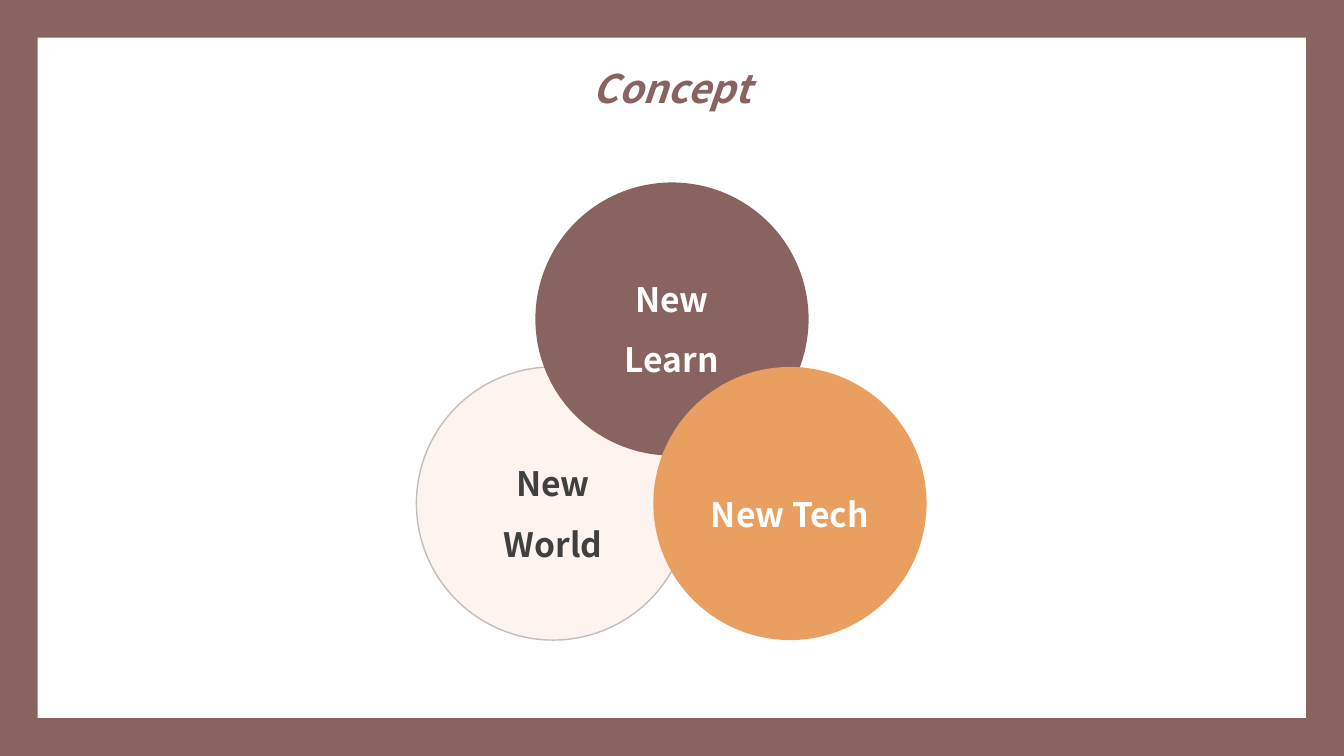
from dataclasses import dataclass

from pptx import Presentation
from pptx.dml.color import RGBColor
from pptx.enum.shapes import MSO_SHAPE as Shape
from pptx.enum.text import MSO_ANCHOR as Anchor, MSO_AUTO_SIZE as AutoSize, PP_ALIGN as Align
from pptx.shapes.autoshape import Shape as AutoShape
from pptx.slide import Slide
from pptx.text.text import TextFrame
from pptx.util import Inches, Pt

FONT = "Noto Sans CJK KR"
COLORS = {
    "mauve": "896360",
    "cream": "FDF4EF",
    "orange": "E99F60",
    "gray": "BFBFBF",
    "charcoal": "404040",
    "white": "FFFFFF",
}
WIDTH, HEIGHT = 13.33, 7.5
DIAMETER = 2.71


@dataclass(frozen=True)
class Idea:
    label: str
    left: float
    top: float
    fill: str
    ink: str
    outline: str | None = None


IDEAS = [
    Idea("New World", 4.13, 3.64, "cream", "charcoal", "gray"),
    Idea("New Learn", 5.31, 1.81, "mauve", "white"),
    Idea("New Tech", 6.48, 3.64, "orange", "white"),
]


def rgb(name: str) -> RGBColor:
    return RGBColor.from_string(COLORS[name])


def paint(shape: AutoShape, fill: str, outline: str | None = None) -> None:
    shape.shadow.inherit = False
    shape.fill.solid()
    shape.fill.fore_color.rgb = rgb(fill)
    if outline:
        shape.line.color.rgb = rgb(outline)
        shape.line.width = Pt(1)
    else:
        shape.line.fill.background()


def write(frame: TextFrame, text: str, size: int, ink: str, italic: bool = False) -> None:
    frame.word_wrap = True
    paragraph = frame.paragraphs[0]
    paragraph.alignment = Align.CENTER
    paragraph.line_spacing = 1.5
    run = paragraph.add_run()
    run.text = text
    run.font.name = FONT
    run.font.size = Pt(size)
    run.font.bold = True
    if italic:
        run.font.italic = True
    run.font.color.rgb = rgb(ink)


def add_border(slide: Slide) -> None:
    border = slide.shapes.add_shape(Shape.FRAME, 0, 0, Inches(WIDTH), Inches(HEIGHT))
    border.adjustments[0] = 0.05
    paint(border, "mauve")


def add_idea(slide: Slide, idea: Idea) -> None:
    circle = slide.shapes.add_shape(
        Shape.OVAL, Inches(idea.left), Inches(idea.top), Inches(DIAMETER), Inches(DIAMETER)
    )
    paint(circle, idea.fill, idea.outline)
    circle.text_frame.vertical_anchor = Anchor.MIDDLE
    write(circle.text_frame, idea.label, 24, idea.ink)


def add_title(slide: Slide, text: str) -> None:
    title = slide.shapes.add_textbox(Inches(3.74), Inches(0.36), Inches(5.84), Inches(0.72))
    write(title.text_frame, text, 28, "mauve", italic=True)
    title.text_frame.auto_size = AutoSize.SHAPE_TO_FIT_TEXT


def main() -> None:
    deck = Presentation()
    deck.slide_width, deck.slide_height = Inches(WIDTH), Inches(HEIGHT)
    slide = deck.slides.add_slide(deck.slide_layouts[6])
    slide.background.fill.solid()
    slide.background.fill.fore_color.rgb = rgb("white")
    add_border(slide)
    for idea in IDEAS:
        add_idea(slide, idea)
    add_title(slide, "Concept")
    deck.save("out.pptx")


if __name__ == "__main__":
    main()
